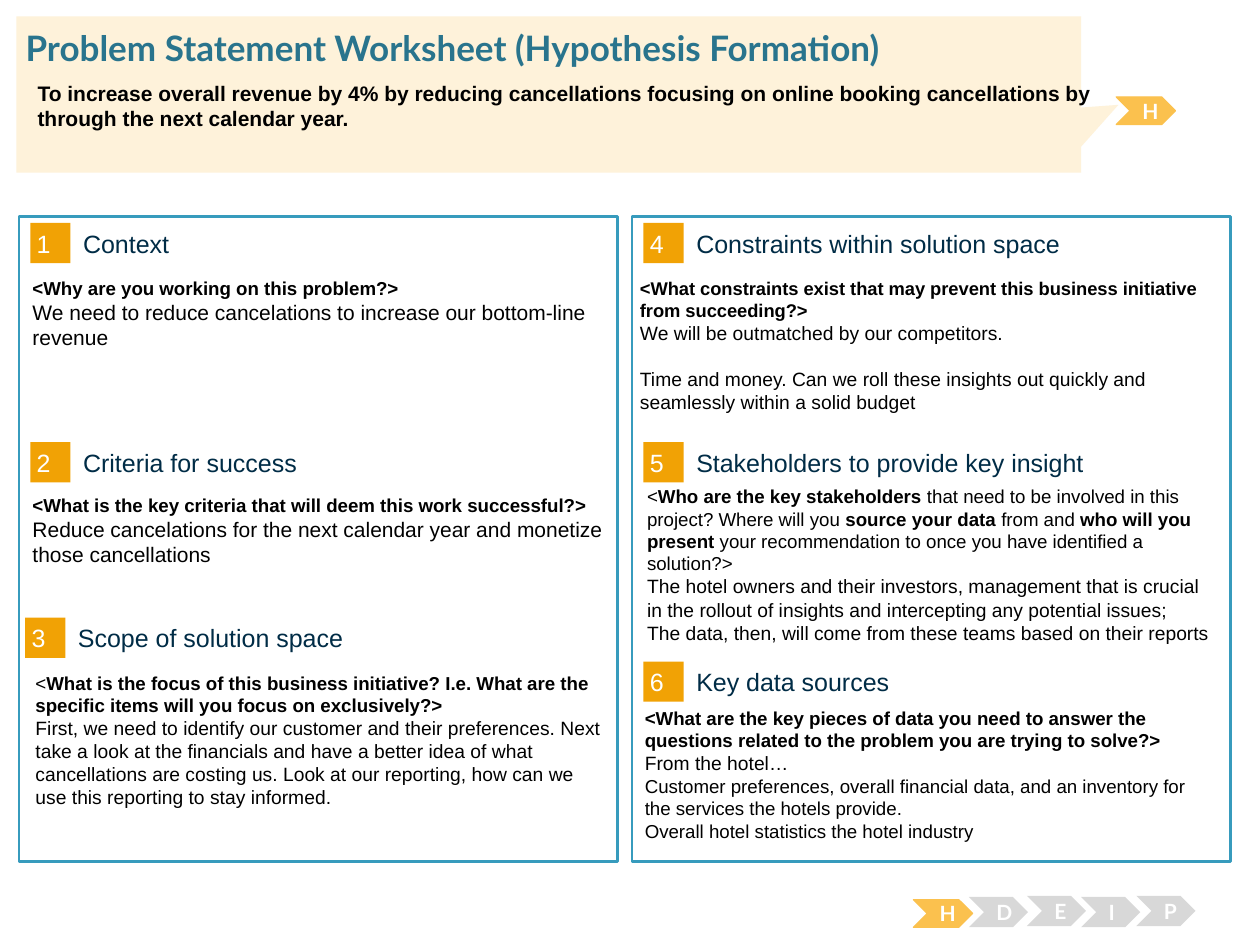
from dataclasses import dataclass

from pptx import Presentation
from pptx.dml.color import RGBColor
from pptx.enum.shapes import MSO_AUTO_SHAPE_TYPE as Preset
from pptx.enum.text import MSO_ANCHOR as Anchor, PP_ALIGN as Align
from pptx.util import Pt

WHITE, BLACK, NAVY, TEAL = "FFFFFF", "000000", "002C46", "29748D"
BLUE, ORANGE, AMBER, GREY, CREAM = "379BBD", "F1A205", "FBC14E", "D8D8D8", "FEF2DA"
BODY_INSETS = (7.2, 3.6)
BODY_WIDTH = 340.6
BADGE_SIZE = 23
CHEVRON_WIDTH = 33.8


@dataclass(frozen=True)
class Span:
    text: str
    size: float = 10.7
    bold: bool = False
    font: str = "Arial"
    color: str = BLACK


@dataclass(frozen=True)
class Para:
    spans: tuple[Span, ...]
    space_before: float = 0


@dataclass(frozen=True)
class Area:
    left: float
    top: float
    width: float
    height: float

    def lengths(self) -> tuple[Pt, ...]:
        return tuple(Pt(v) for v in (self.left, self.top, self.width, self.height))


@dataclass(frozen=True)
class Section:
    number: int
    heading: str
    left: float
    top: float
    body: Area
    paras: tuple[Para, ...]


@dataclass(frozen=True)
class Chevron:
    letter: str
    left: float
    top: float
    active: bool = False


def line(text: str, size: float = 10.7, bold: bool = False, space_before: float = 0) -> Para:
    """A paragraph made of a single span."""
    return Para((Span(text, size, bold),), space_before)


def rgb(value: str) -> RGBColor:
    return RGBColor.from_string(value)


def set_all(target, values: dict) -> None:
    for name, value in values.items():
        setattr(target, name, value)


def write(shape, paras, insets=(0, 0), anchor=Anchor.TOP, align=Align.LEFT) -> None:
    frame = shape.text_frame
    across, down = (Pt(v) for v in insets)
    set_all(frame, {"word_wrap": True, "vertical_anchor": anchor,
                    "margin_left": across, "margin_right": across,
                    "margin_top": down, "margin_bottom": down})
    for index, para in enumerate(paras):
        target = frame.paragraphs[0] if index == 0 else frame.add_paragraph()
        set_all(target, {"alignment": align, "space_before": Pt(para.space_before)})
        for span in para.spans:
            run = target.add_run()
            run.text = span.text
            set_all(run.font, {"size": Pt(span.size), "bold": span.bold, "name": span.font})
            run.font.color.rgb = rgb(span.color)


def add_text(page, area: Area, paras, **layout) -> None:
    write(page.shapes.add_textbox(*area.lengths()), paras, **layout)


def add_preset(page, preset, area: Area, fill: str, outline: str = "", weight: float = 0):
    shape = page.shapes.add_shape(preset, *area.lengths())
    shape.shadow.inherit = False
    shape.fill.solid()
    shape.fill.fore_color.rgb = rgb(fill)
    if outline:
        shape.line.color.rgb = rgb(outline)
        shape.line.width = Pt(weight)
    else:
        shape.line.fill.background()
    return shape


def add_section(page, section: Section) -> None:
    badge = add_preset(page, Preset.RECTANGLE,
                       Area(section.left, section.top, BADGE_SIZE, BADGE_SIZE), ORANGE)
    write(badge, [Para((Span(str(section.number), 14.3, color=WHITE),))],
          insets=(3.6, 3.6), anchor=Anchor.MIDDLE)
    add_text(page, Area(section.left + 30.2, section.top + 2.5, 283, 18),
             [Para((Span(section.heading, 14.3, color=NAVY),))], anchor=Anchor.MIDDLE)
    add_text(page, section.body, section.paras, insets=BODY_INSETS)


def add_chevron(page, chevron: Chevron) -> None:
    height, fill, outline = (15.8, AMBER, AMBER) if chevron.active else (17.3, GREY, "")
    shape = add_preset(page, Preset.CHEVRON,
                       Area(chevron.left, chevron.top, CHEVRON_WIDTH, height),
                       fill, outline, 0.75)
    write(shape, [Para((Span(chevron.letter, 12, True, "Lato", WHITE),))],
          insets=BODY_INSETS, anchor=Anchor.MIDDLE, align=Align.CENTER)


SECTIONS = (
    Section(1, "Context", 17.3, 127.4, Area(11.5, 154.8, BODY_WIDTH, 98), (
        line("<Why are you working on this problem?>", bold=True),
        line("We need to reduce cancelations to increase our bottom-line revenue", 12))),
    Section(2, "Criteria for success", 17.3, 252.7, Area(11.5, 278.6, BODY_WIDTH, 59), (
        Para((Span("<What is the key criteria that will deem this work successful?> ", bold=True),
              Span("Reduce cancelations for the next calendar year and monetize those "
                   "cancellations", 12))),)),
    Section(3, "Scope of solution space", 14.4, 353, Area(13.2, 380.2, BODY_WIDTH, 105), (
        Para((Span("<"),
              Span("What is the focus of this business initiative? I.e. What are the specific "
                   "items will you focus on exclusively?>", bold=True))),
        line("First, we need to identify our customer and their preferences. Next take a look "
             "at the financials and have a better idea of what cancellations are costing us. "
             "Look at our reporting, how can we use this reporting to stay informed.", 11))),
    Section(4, "Constraints within solution space", 367.7, 127.4,
            Area(358.6, 154.8, BODY_WIDTH, 99.4), (
        line("<What constraints exist that may prevent this business initiative from "
             "succeeding?>", 10.5, True),
        line("We will be outmatched by our competitors.", 11),
        line("Time and money. Can we roll these insights out quickly and seamlessly within a "
             "solid budget", 11, space_before=12.9))),
    Section(5, "Stakeholders to provide key insight", 367.7, 252.7,
            Area(362.7, 273.6, BODY_WIDTH, 103.7), (
        Para((Span("<"),
              Span("Who are the key stakeholders ", bold=True),
              Span("that need to be involved in this project? Where will you "),
              Span("source your data ", bold=True),
              Span("from and "),
              Span("who will you present", bold=True),
              Span(" your recommendation to once you have identified a solution?>"))),
        line("The hotel owners and their investors, management that is crucial in the rollout "
             "of insights and intercepting any potential issues;", 11),
        line("The data, then, will come from these teams based on their reports", 11))),
    Section(6, "Key data sources", 367.7, 378, Area(361.4, 400.3, BODY_WIDTH, 85), (
        line("<What are the key pieces of data you need to answer the questions related to the "
             "problem you are trying to solve?>", bold=True),
        line("From the hotel…", 11),
        line("Customer preferences, overall financial data, and an inventory for the services "
             "the hotels provide."),
        line("Overall hotel statistics the hotel industry"))),
)

CHEVRONS = (
    Chevron("H", 522, 514.1, True),
    Chevron("D", 553.7, 512.6),
    Chevron("E", 586.8, 511.9),
    Chevron("I", 617.8, 512.6),
    Chevron("P", 649.4, 511.9),
    Chevron("H", 637.9, 55.4, True),
)


def main() -> None:
    deck = Presentation()
    set_all(deck, {"slide_width": Pt(720), "slide_height": Pt(540)})
    page = deck.slides.add_slide(deck.slide_layouts[6])

    for left in (10.8, 361.1):
        add_preset(page, Preset.RECTANGLE, Area(left, 123.8, 342, 368.6), WHITE, BLUE, 1.5)
    for section in SECTIONS:
        add_section(page, section)
    for chevron in CHEVRONS:
        add_chevron(page, chevron)

    callout = add_preset(page, Preset.RECTANGULAR_CALLOUT, Area(9.4, 9.4, 608.4, 89.3), CREAM)
    callout.adjustments[0], callout.adjustments[1] = 0.535, 0.066
    add_text(page, Area(14.6, 15.1, 692.6, 24.5), [Para((
        Span("Problem Statement Worksheet (Hypothesis Formation)", 20, True, "Lato", TEAL),))])
    add_text(page, Area(14.4, 42.5, 648, 56.9), [line(
        "To increase overall revenue by 4% by reducing cancellations focusing on online booking "
        "cancellations by through the next calendar year.", 12, True)], insets=BODY_INSETS)

    deck.save("out.pptx")


if __name__ == "__main__":
    main()
